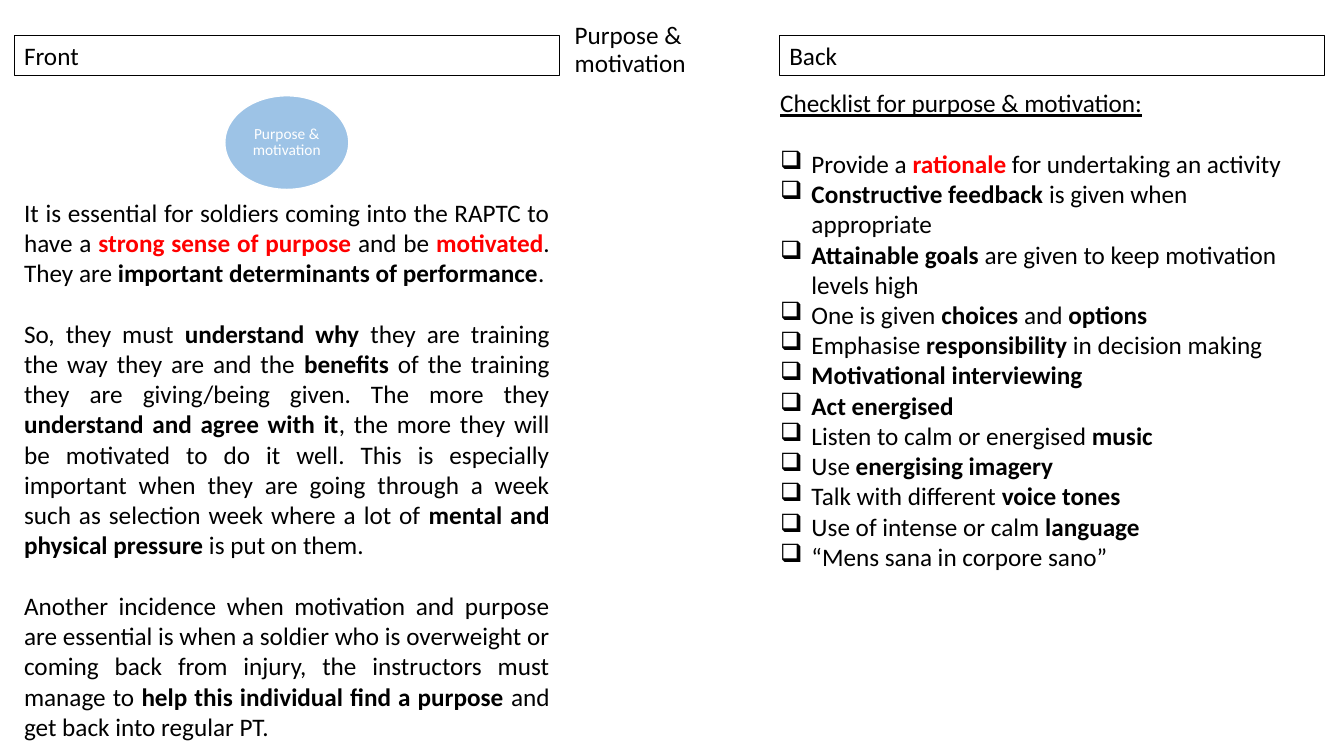
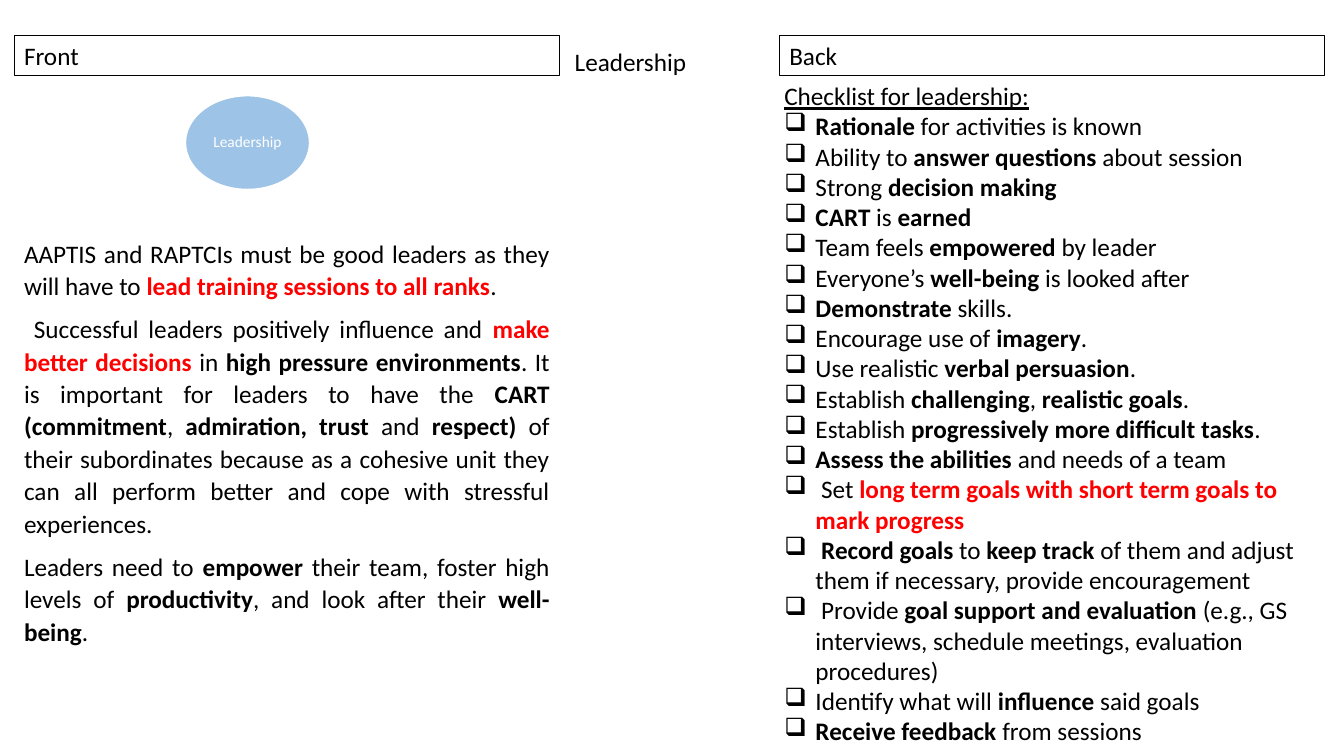
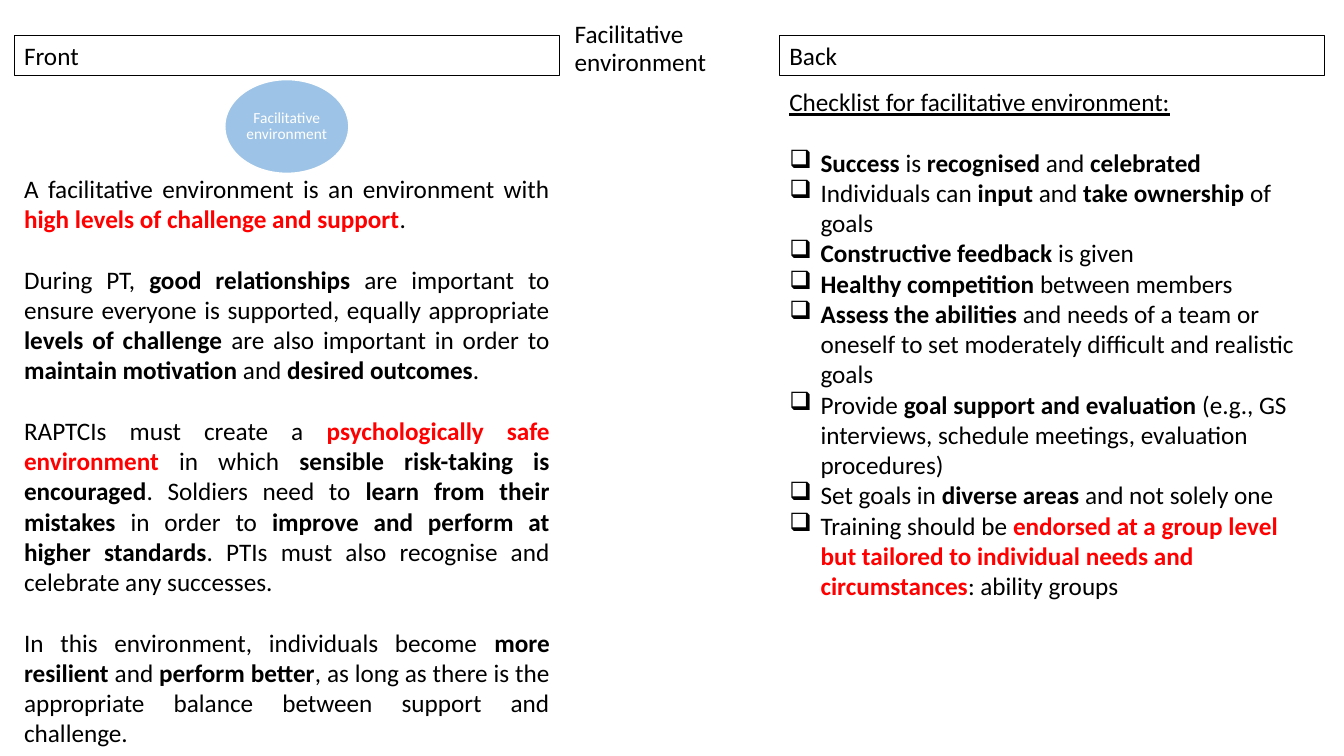
import pptx
import pptx.dml.color
import pptx.enum.shapes
import pptx.enum.text
import pptx.oxml
import pptx.oxml.ns
import pptx.util

Inches = pptx.util.Inches
Pt = pptx.util.Pt
Color = pptx.dml.color.RGBColor
Align = pptx.enum.text.PP_ALIGN
Anchor = pptx.enum.text.MSO_ANCHOR
AutoSize = pptx.enum.text.MSO_AUTO_SIZE
Preset = pptx.enum.shapes.MSO_SHAPE

BLACK = Color(0x00, 0x00, 0x00)
WHITE = Color(0xFF, 0xFF, 0xFF)
RED = Color(0xFF, 0x00, 0x00)
BLUE = Color(0x9D, 0xC3, 0xE6)
FONT = "Calibri"
BODY_SIZE = Pt(18)
BLANK_LINE = Pt(21.6)
FRONT_LEFT, BACK_LEFT, CARD_WIDTH = 0.14, 7.73, 5.41

# In card text, *words* are bold and *!words* are bold and red.
CARDS = [
    {
        "title": "Purpose & motivation",
        "title_top": 0.1,
        "circle": (2.23, 0.95),
        "front_box": (1.88, 5.55),
        "front_anchor": Anchor.MIDDLE,
        "front_spacing": (1.0, BLANK_LINE),
        "front": [
            "It is essential for soldiers coming into the RAPTC to have a "
            "*!strong sense of purpose *and be *!motivated*. They are "
            "*important determinants of performance*.",
            "So, they must *understand why *they are training the way they are "
            "and the *benefits* of the training they are giving/being given. "
            "The more they *understand and agree with it*, the more they will "
            "be motivated to do it well. This is especially important when "
            "they are going through a week such as selection week where a lot "
            "of *mental and physical pressure* is put on them.",
            "Another incidence when motivation and purpose are essential is "
            "when a soldier who is overweight or coming back from injury, the "
            "instructors must manage to *help this individual find a purpose "
            "*and get back into regular PT. ",
        ],
        "back_box": (7.64, 0.82, 4.95),
        "heading": "Checklist for purpose & motivation:",
        "heading_gap": BLANK_LINE,
        "checklist": [
            "Provide a *!rationale* for undertaking an activity",
            "*Constructive feedback *is given when appropriate",
            "*Attainable goals *are given to keep motivation levels high",
            "One is given *choices* and *options*",
            "Emphasise *responsibility* in decision making",
            "*Motivational interviewing*",
            "*Act energised*",
            "Listen to calm or energised *music*",
            "Use *energising imagery*",
            "Talk with different *voice tones*",
            "Use of intense or calm *language*",
            "“Mens sana in corpore sano” ",
        ],
    },
    {
        "title": "Leadership",
        "title_top": 0.09,
        "circle": (1.84, 0.95),
        "front_box": (2.29, 4.2),
        "front_anchor": Anchor.TOP,
        "front_spacing": (1.07, Pt(8)),
        "front": [
            "AAPTIS and RAPTCIs must be good leaders as they will have to "
            "*!lead training sessions to all ranks*.",
            " Successful leaders positively influence and *!make better "
            "decisions *in *high pressure environments*. It is important for "
            "leaders to have the *CART (commitment*, *admiration, trust *and "
            "*respect)* of their subordinates because as a cohesive unit they "
            "can all perform better and cope with stressful experiences. ",
            "Leaders need to *empower* their team, foster high levels of "
            "*productivity*, and look after their *well-being*.",
        ],
        "back_box": (7.68, 0.75, 6.77),
        "heading": "Checklist for leadership:",
        "heading_gap": Pt(0),
        "checklist": [
            "*Rationale* for activities is known",
            "Ability to *answer questions *about session",
            "Strong *decision making*",
            "*CART* is *earned*",
            "Team feels *empowered* by leader",
            "Everyone’s *well-being* is looked after",
            "*Demonstrate* skills.",
            "Encourage use of *imagery*.",
            "Use realistic *verbal persuasion*.",
            "Establish *challenging*, *realistic goals*.",
            "Establish *progressively more difficult tasks*.",
            "*Assess the abilities *and needs of a team",
            " Set *!long term goals with short term goals to mark progress*",
            " *Record goals* to *keep track *of them and adjust them if "
            "necessary, provide encouragement",
            " Provide *goal support and evaluation *(e.g., GS interviews, "
            "schedule meetings, evaluation procedures)",
            "Identify what will *influence* said goals",
            "*Receive feedback* from sessions",
        ],
    },
    {
        "title": "Facilitative environment",
        "title_top": 0.09,
        "circle": (2.23, 0.79),
        "front_box": (1.64, 5.86),
        "front_anchor": Anchor.MIDDLE,
        "front_spacing": (1.0, BLANK_LINE),
        "front": [
            "A facilitative environment is an environment with *!high levels "
            "of challenge and support*. ",
            "During PT, *good relationships *are important to ensure everyone "
            "is supported, equally appropriate *levels of challenge *are also "
            "important in order to *maintain motivation *and *desired "
            "outcomes*.",
            "RAPTCIs must create a *!psychologically safe environment* in "
            "which *sensible risk-taking is encouraged*. Soldiers need to "
            "*learn from their mistakes *in order to *improve and perform at "
            "higher standards*. PTIs must also recognise and celebrate any "
            "successes. ",
            "In this environment, individuals become *more resilient *and "
            "*perform better*, as long as there is the appropriate balance "
            "between support and challenge.",
        ],
        "back_box": (7.73, 0.81, 5.25),
        "heading": "Checklist for facilitative environment:",
        "heading_gap": BLANK_LINE,
        "checklist": [
            "*Success* is *recognised* and *celebrated*",
            "Individuals can *input* and *take ownership *of goals",
            "*Constructive feedback *is given",
            "*Healthy competition *between members",
            "*Assess the abilities *and needs of a team or oneself to set "
            "moderately difficult and realistic goals",
            "Provide *goal support and evaluation *(e.g., GS interviews, "
            "schedule meetings, evaluation procedures)",
            "Set goals in *diverse areas *and not solely one",
            "Training should be *!endorsed at a group level but tailored to "
            "individual needs and circumstances*: ability groups",
        ],
    },
]


def style_paragraph(para, size=BODY_SIZE, color=BLACK, align=Align.LEFT):
    para.alignment = align
    para.font.name = FONT
    para.font.size = size
    para.font.color.rgb = color


def add_marked_text(para, text):
    """Turn the marked parts of the text into bold or bold red runs."""
    for index, part in enumerate(text.split("*")):
        if not part:
            continue
        span = para.add_run()
        span.text = part.lstrip("!")
        if index % 2:
            span.font.bold = True
            if part.startswith("!"):
                span.font.color.rgb = RED


def add_check_bullet(para):
    properties = para._p.get_or_add_pPr()
    properties.set("marL", str(Inches(0.31)))
    properties.set("indent", str(-Inches(0.31)))
    bullet = pptx.oxml.parse_xml(
        '<a:buChar %s char="❑"/>' % pptx.oxml.ns.nsdecls("a"))
    # The bullet has to come before the default run properties
    properties.insert_element_before(bullet, "a:tabLst", "a:defRPr", "a:extLst")


def add_title(page, text, top):
    title = page.shapes.title
    title.left, title.top = Inches(5.6), Inches(top)
    title.width, title.height = Inches(2.17), Inches(0.72)
    frame = title.text_frame
    frame.text = text
    frame.word_wrap = True
    frame.auto_size = AutoSize.NONE
    frame.vertical_anchor = Anchor.BOTTOM
    para = frame.paragraphs[0]
    style_paragraph(para)
    para.line_spacing = 0.9


def add_label(page, text, left):
    label = page.shapes.add_shape(
        Preset.RECTANGLE, Inches(left), Inches(0.35),
        Inches(CARD_WIDTH), Inches(0.4))
    label.shadow.inherit = False
    label.fill.background()
    label.line.color.rgb = BLACK
    label.line.width = Pt(0.75)
    frame = label.text_frame
    frame.text = text
    frame.vertical_anchor = Anchor.TOP
    style_paragraph(frame.paragraphs[0])


def add_circle(page, text, left, top):
    circle = page.shapes.add_shape(
        Preset.OVAL, Inches(left), Inches(top), Inches(1.23), Inches(0.93))
    circle.shadow.inherit = False
    circle.fill.solid()
    circle.fill.fore_color.rgb = BLUE
    circle.line.color.rgb = WHITE
    circle.line.width = Pt(1)
    frame = circle.text_frame
    frame.text = text
    frame.vertical_anchor = Anchor.MIDDLE
    frame.margin_left = frame.margin_right = Inches(0.02)
    frame.margin_top = frame.margin_bottom = Inches(0.02)
    para = frame.paragraphs[0]
    style_paragraph(para, Pt(11), WHITE, Align.CENTER)
    para.line_spacing = 0.9


def add_text_frame(page, left, top, height, anchor=Anchor.TOP):
    box = page.shapes.add_textbox(
        Inches(left), Inches(top), Inches(CARD_WIDTH), Inches(height))
    frame = box.text_frame
    frame.word_wrap = True
    frame.auto_size = AutoSize.SHAPE_TO_FIT_TEXT
    frame.vertical_anchor = anchor
    return frame


def add_front_text(page, card):
    frame = add_text_frame(
        page, FRONT_LEFT, *card["front_box"], card["front_anchor"])
    line_spacing, gap = card["front_spacing"]
    for index, text in enumerate(card["front"]):
        para = frame.add_paragraph() if index else frame.paragraphs[0]
        style_paragraph(para, align=Align.JUSTIFY)
        para.line_spacing = line_spacing
        if index < len(card["front"]) - 1:
            para.space_after = gap
        add_marked_text(para, text)


def add_checklist(page, card):
    frame = add_text_frame(page, *card["back_box"])
    heading = frame.paragraphs[0]
    heading.text = card["heading"]
    style_paragraph(heading)
    heading.font.underline = True
    heading.space_after = card["heading_gap"]
    for text in card["checklist"]:
        para = frame.add_paragraph()
        style_paragraph(para)
        add_check_bullet(para)
        add_marked_text(para, text)


def add_card(deck, card):
    page = deck.slides.add_slide(deck.slide_layouts.get_by_name("Title Only"))
    add_title(page, card["title"], card["title_top"])
    # Front and back labels
    add_label(page, "Front", FRONT_LEFT)
    add_label(page, "Back", BACK_LEFT)
    # Front of the card
    add_circle(page, card["title"], *card["circle"])
    add_front_text(page, card)
    # Back of the card
    add_checklist(page, card)


def main():
    deck = pptx.Presentation()
    deck.slide_width = Inches(13.33)
    deck.slide_height = Inches(7.5)
    for card in CARDS:
        add_card(deck, card)
    deck.save("out.pptx")


main()
